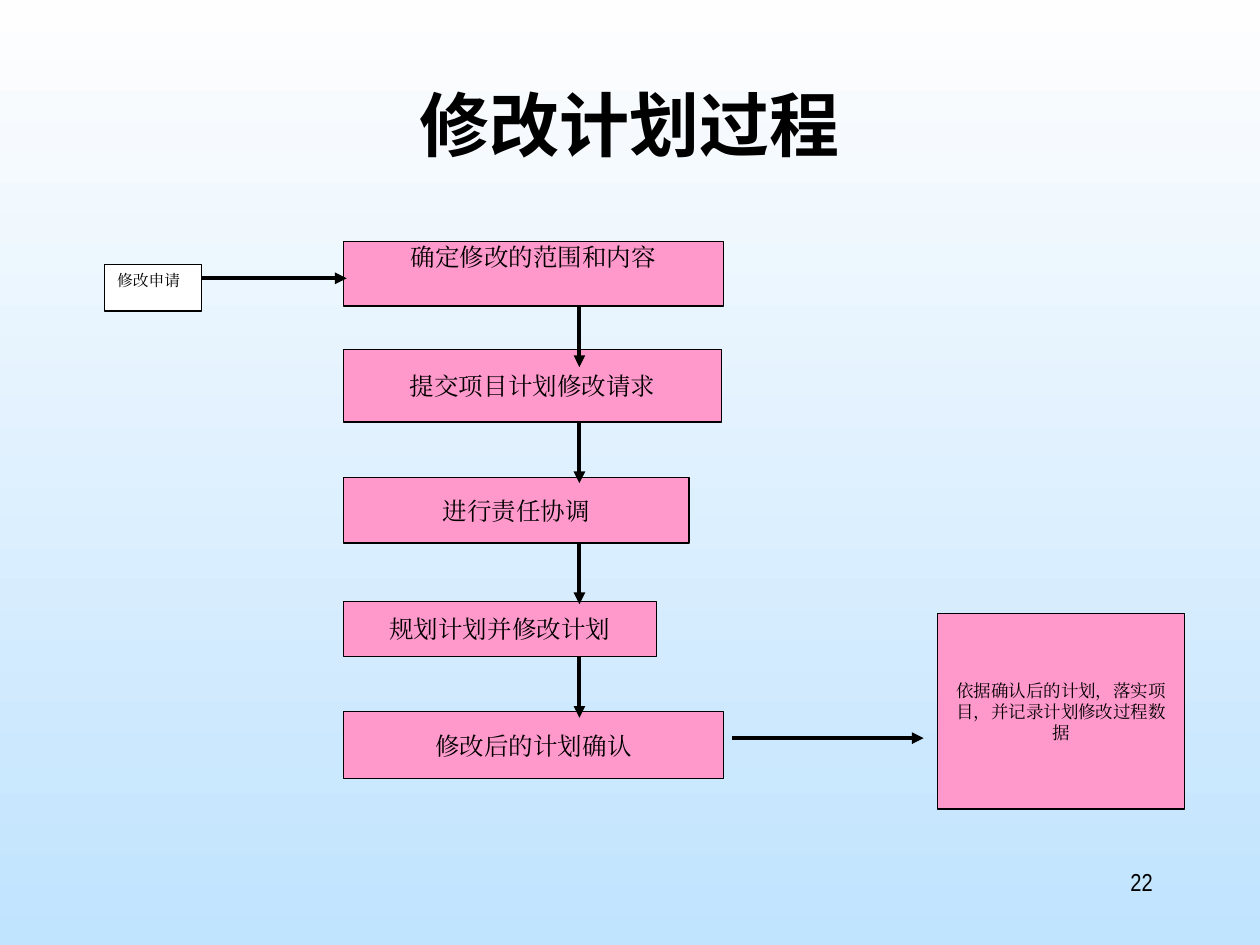
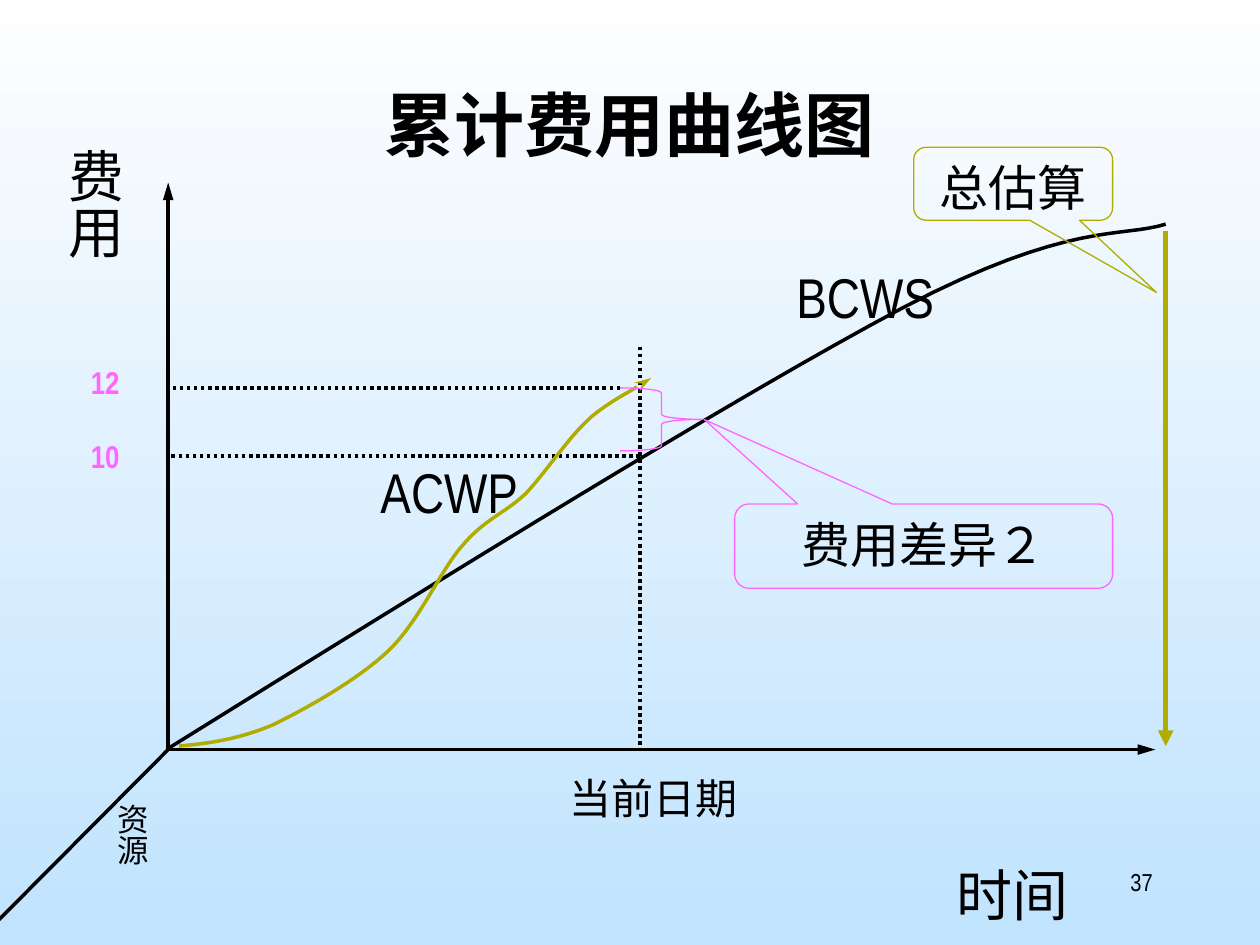
import pptx
import pptx.util
import pptx.dml.color
import pptx.enum.dml
import pptx.enum.shapes
import pptx.enum.text
import pptx.oxml
import pptx.oxml.ns

Cm, Pt = pptx.util.Cm, pptx.util.Pt
SHAPE = pptx.enum.shapes.MSO_SHAPE
ALIGN = pptx.enum.text.PP_ALIGN
ANCHOR = pptx.enum.text.MSO_ANCHOR

# Shared style
BLACK, WHITE, PINK, MAGENTA, OLIVE = "000000", "FFFFFF", "FF99CC", "FF66FF", "B0AC00"
SKY = ("FEFEFE", "C0E3FE")
TITLE_FONT, FLOW_FONT, CHART_FONT = "Noto Sans CJK SC", "Times New Roman", "Arial Narrow"
TITLE_BOX = (1.9, 1.7, 21.59, 3.18)
PAGE_BOX = (18.21, 17.35, 5.28, 1.27)

# Flow content: text, top, width, height, anchor (cm)
STEP_LEFT, ARROW_X, ARROW_LENGTH = 6.93, 11.68, 1.23
STEPS = [
    ("确定修改的范围和内容", 4.87, 7.65, 1.3, ANCHOR.TOP),
    ("提交项目计划修改请求", 7.04, 7.62, 1.47, ANCHOR.MIDDLE),
    ("进行责任协调", 9.63, 6.96, 1.32, ANCHOR.MIDDLE),
    ("规划计划并修改计划", 12.12, 6.3, 1.12, ANCHOR.MIDDLE),
    ("修改后的计划确认", 14.35, 7.65, 1.35, ANCHOR.MIDDLE),
]
REQUEST = ("修改申请", (2.11, 5.33, 1.96, 0.94))
RESULT = ("依据确认后的计划，落实项目，并记录计划修改过程数据", (18.9, 12.37, 4.98, 3.94))
SIDE_ARROWS = [((3.86, 5.61), (6.99, 5.61)), ((14.76, 14.88), (18.62, 14.88))]

# Cost chart content (cm)
ORIGIN = (3.39, 15.11)
AXIS_ENDS = [(23.29, ORIGIN[1]), (ORIGIN[0], 3.68)]
RESOURCE_END = (-0.2, 18.72)
TODAY_X, TODAY_TOP = 12.9, 6.99
LEVELS = [(TODAY_X, 9.19), (12.5, 7.82)]
BUDGET_LINE = ((23.5, 4.65), (23.5, 15.04))
GAP_BRACE = (12.5, 7.82, 1.67, 1.27)
# Each curve: a start point, then two control points and an end point per piece
BCWS = [(3.39, 15.09),
        (9.12, 11.53), (14.86, 7.98), (18.21, 6.2),
        (21.56, 4.45), (22.61, 4.8), (23.5, 4.52)]
ACWP = [(3.61, 15.04),
        (4.19, 14.99), (4.8, 14.91), (5.51, 14.61),
        (6.2, 14.27), (7.19, 13.72), (7.82, 13.13),
        (8.46, 12.52), (8.86, 11.53), (9.32, 11),
        (9.78, 10.46), (10.16, 10.36), (10.59, 9.96),
        (11, 9.53), (11.43, 8.86), (11.86, 8.46),
        (12.27, 8.08), (12.95, 7.77), (13.13, 7.62)]
# Text, box, size, colour, bold, alignment
LABELS = [
    ("BCWS", (15.44, 5.16, 4.01, 1.63), 32, BLACK, False, ALIGN.CENTER),
    ("时间", (17.98, 17.22, 4.88, 1.63), 32, BLACK, False, ALIGN.CENTER),
    ("当前日期", (11.23, 15.44, 4.01, 1.27), 24, BLACK, False, ALIGN.LEFT),
    ("ACWP", (7.42, 9.09, 4.01, 1.63), 32, BLACK, False, ALIGN.LEFT),
    ("10", (1.27, 8.69, 1.7, 1.02), 18, MAGENTA, True, ALIGN.CENTER),
    ("12", (1.27, 7.19, 1.7, 1.02), 18, MAGENTA, True, ALIGN.CENTER),
]
VERTICAL_LABELS = [("费用", (0.86, 2.74, 1.85, 3.1), 32),
                   ("资源", (1.9, 15.95, 1.27, 2.34), 18)]
CALLOUTS = [("总估算", (18.42, 2.97, 4.01, 1.47), OLIVE, (0.72, 1.49, 0.17)),
            ("费用差异２", (14.81, 10.16, 7.62, 1.7), MAGENTA, (-0.58, -1.5, 0.17))]


def rgb(value):
    return pptx.dml.color.RGBColor.from_string(value)


def add_element(parent, tag, **attrs):
    el = pptx.oxml.parse_xml(f"<a:{tag} {pptx.oxml.ns.nsdecls('a')}/>")
    for name, value in attrs.items():
        el.set(name, value)
    parent.append(el)


def write(sp, text, size, font, align=ALIGN.CENTER, anchor=ANCHOR.TOP,
          color=BLACK, bold=False, inset=(0.25, 0.13)):
    tf = sp.text_frame
    tf.word_wrap = True
    tf.vertical_anchor = anchor
    tf.margin_left = tf.margin_right = Cm(inset[0])
    tf.margin_top = tf.margin_bottom = Cm(inset[1])
    p = tf.paragraphs[0]
    p.alignment = align
    r = p.add_run()
    r.text = text
    r.font.size, r.font.bold, r.font.name = Pt(size), bold, font
    r.font.color.rgb = rgb(color)
    add_element(r.font._element, "ea", typeface=font)
    return tf


def add_label(s, text, box, *args, **kwargs):
    return write(s.shapes.add_textbox(*map(Cm, box)), text, *args, **kwargs)


def style(sp, line, width=0.75, fill=None):
    sp.shadow.inherit = False
    if fill:
        sp.fill.solid()
        sp.fill.fore_color.rgb = rgb(fill)
    else:
        sp.fill.background()
    sp.line.color.rgb = rgb(line)
    sp.line.width = Pt(width)
    return sp


def add_preset(s, kind, box, line=BLACK, fill=None):
    return style(s.shapes.add_shape(kind, *map(Cm, box)), line, fill=fill)


def add_head(sp, kind, length):
    add_element(sp.line._get_or_add_ln(), "tailEnd", type=kind, w="med", len=length)


def add_line(s, start, end, width=2, color=BLACK, head=None, dotted=False):
    c = s.shapes.add_connector(pptx.enum.shapes.MSO_CONNECTOR.STRAIGHT,
                               *map(Cm, start + end))
    c.line.color.rgb = rgb(color)
    c.line.width = Pt(width)
    if dotted:
        c.line.dash_style = pptx.enum.dml.MSO_LINE.ROUND_DOT
    if head:
        add_head(c, "triangle", head)
    add_element(c._element.spPr, "effectLst")


def add_curve(s, knots, color, pieces=16):
    points = []
    for i in range(0, len(knots) - 1, 3):
        for step in range(1, pieces + 1):
            t = step / pieces
            weights = ((1 - t) ** 3, 3 * t * (1 - t) ** 2, 3 * t * t * (1 - t), t ** 3)
            points.append(tuple(Cm(sum(w * k[axis] for w, k in zip(weights, knots[i:i + 4])))
                                for axis in (0, 1)))
    builder = s.shapes.build_freeform(*map(Cm, knots[0]))
    builder.add_line_segments(points, close=False)
    return style(builder.convert_to_shape(), color, 2)


def new_slide(prs, title, page):
    s = prs.slides.add_slide(prs.slide_layouts[6])
    fill = s.background.fill
    fill.gradient()
    fill.gradient_angle = 270
    for stop, color in zip(fill.gradient_stops, SKY):
        stop.color.rgb = rgb(color)
    tf = add_label(s, title, TITLE_BOX, 40, TITLE_FONT, bold=True)
    tf.paragraphs[0].line_spacing = 0.9
    add_label(s, page, PAGE_BOX, 14, CHART_FONT, ALIGN.RIGHT)
    return s


def build_flow(prs):
    s = new_slide(prs, "修改计划过程", "22")
    # Steps and the closing box
    for text, top, width, height, anchor in STEPS:
        sp = add_preset(s, SHAPE.RECTANGLE, (STEP_LEFT, top, width, height), fill=PINK)
        write(sp, text, 14, FLOW_FONT, anchor=anchor, inset=(0.25, 0))
    text, box = RESULT
    write(add_preset(s, SHAPE.RECTANGLE, box, fill=PINK), text, 10, FLOW_FONT,
          anchor=ANCHOR.MIDDLE)
    # Arrows
    for _, top, _, height, _ in STEPS[:-1]:
        bottom = top + height
        add_line(s, (ARROW_X, bottom), (ARROW_X, bottom + ARROW_LENGTH), 2.25, head="med")
    for start, end in SIDE_ARROWS:
        add_line(s, start, end, 2.25, head="med")
    # Request box covers the start of its arrow
    text, box = REQUEST
    write(add_preset(s, SHAPE.RECTANGLE, box, fill=WHITE), text, 9, FLOW_FONT, ALIGN.JUSTIFY)


def build_cost_chart(prs):
    s = new_slide(prs, "累计费用曲线图", "37")
    # Axes and guide lines
    for end in AXIS_ENDS:
        add_line(s, ORIGIN, end, head="lg")
    add_line(s, ORIGIN, RESOURCE_END)
    add_line(s, (TODAY_X, TODAY_TOP), (TODAY_X, ORIGIN[1]), dotted=True)
    for x, y in LEVELS:
        add_line(s, (x, y), (ORIGIN[0], y), dotted=True)
    # Curves, total budget and cost gap
    add_curve(s, BCWS, BLACK)
    add_head(add_curve(s, ACWP, OLIVE), "stealth", "lg")
    add_line(s, *BUDGET_LINE, width=3, color=OLIVE, head="med")
    brace = add_preset(s, SHAPE.RIGHT_BRACE, GAP_BRACE, MAGENTA)
    brace.adjustments[0] = 0.08
    # Labels and callouts
    for text, box, size, color, bold, align in LABELS:
        add_label(s, text, box, size, CHART_FONT, align, color=color, bold=bold)
    for text, box, size in VERTICAL_LABELS:
        tf = add_label(s, text, box, size, CHART_FONT, inset=(0.13, 0.25))
        tf._txBody.bodyPr.set("vert", "eaVert")
    for text, box, color, adjustments in CALLOUTS:
        sp = add_preset(s, SHAPE.ROUNDED_RECTANGULAR_CALLOUT, box, color)
        for i, value in enumerate(adjustments):
            sp.adjustments[i] = value
        write(sp, text, 28, CHART_FONT)


def main():
    prs = pptx.Presentation()
    prs.slide_width, prs.slide_height = Cm(25.4), Cm(19.05)
    build_flow(prs)
    build_cost_chart(prs)
    prs.save("out.pptx")


if __name__ == "__main__":
    main()
